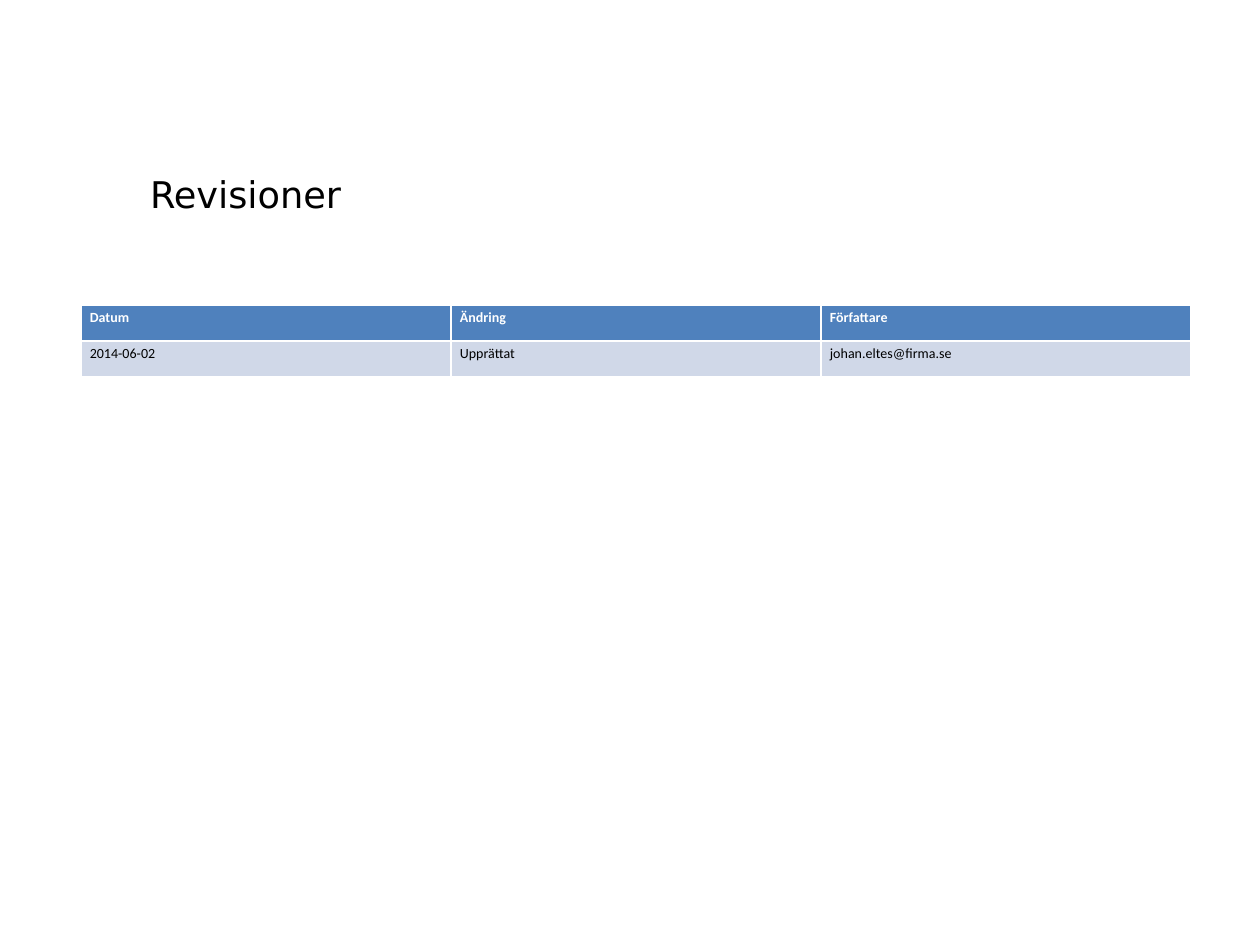
from pptx import Presentation
from pptx.dml.color import RGBColor
from pptx.enum.text import MSO_ANCHOR, PP_ALIGN
from pptx.util import Cm, Pt

BLACK = RGBColor(0x00, 0x00, 0x00)
WHITE = RGBColor(0xFF, 0xFF, 0xFF)
BLUE = RGBColor(0x4F, 0x81, 0xBD)
PALE = RGBColor(0xD0, 0xD8, 0xE8)


def write(frame, text, size=8, font="Calibri", color=BLACK, bold=False):
    """Put left-aligned, formatted text in a text frame."""
    para = frame.paragraphs[0]
    para.alignment = PP_ALIGN.LEFT
    run = para.add_run()
    run.text = text
    run.font.size = Pt(size)
    run.font.name = font
    run.font.bold = bold
    run.font.color.rgb = color


deck = Presentation()
deck.slide_width, deck.slide_height = Cm(25.4), Cm(19.05)
slide = deck.slides.add_slide(deck.slide_layouts[5])

title = slide.shapes.title
title.left, title.top = Cm(2.77), Cm(2.82)
title.width, title.height = Cm(21.23), Cm(2.16)
title.text_frame.vertical_anchor = MSO_ANCHOR.MIDDLE
write(title.text_frame, "Revisioner", size=21, font="DejaVu Sans")

rows = [
    ("Datum", "Ändring", "Författare"),
    ("2014-06-02", "Upprättat", "johan.eltes@firma.se"),
]
# The default table style supplies the white cell borders.
table = slide.shapes.add_table(
    len(rows), len(rows[0]), Cm(1.63), Cm(6.15), Cm(22.38), Cm(1.44)
).table

for r, row in enumerate(rows):
    head = r == 0
    for c, text in enumerate(row):
        cell = table.cell(r, c)
        cell.margin_left = cell.margin_right = Cm(0.18)
        cell.margin_top = cell.margin_bottom = Cm(0.09)
        cell.fill.solid()
        cell.fill.fore_color.rgb = BLUE if head else PALE
        write(cell.text_frame, text, color=WHITE if head else BLACK, bold=head)

deck.save("out.pptx")
